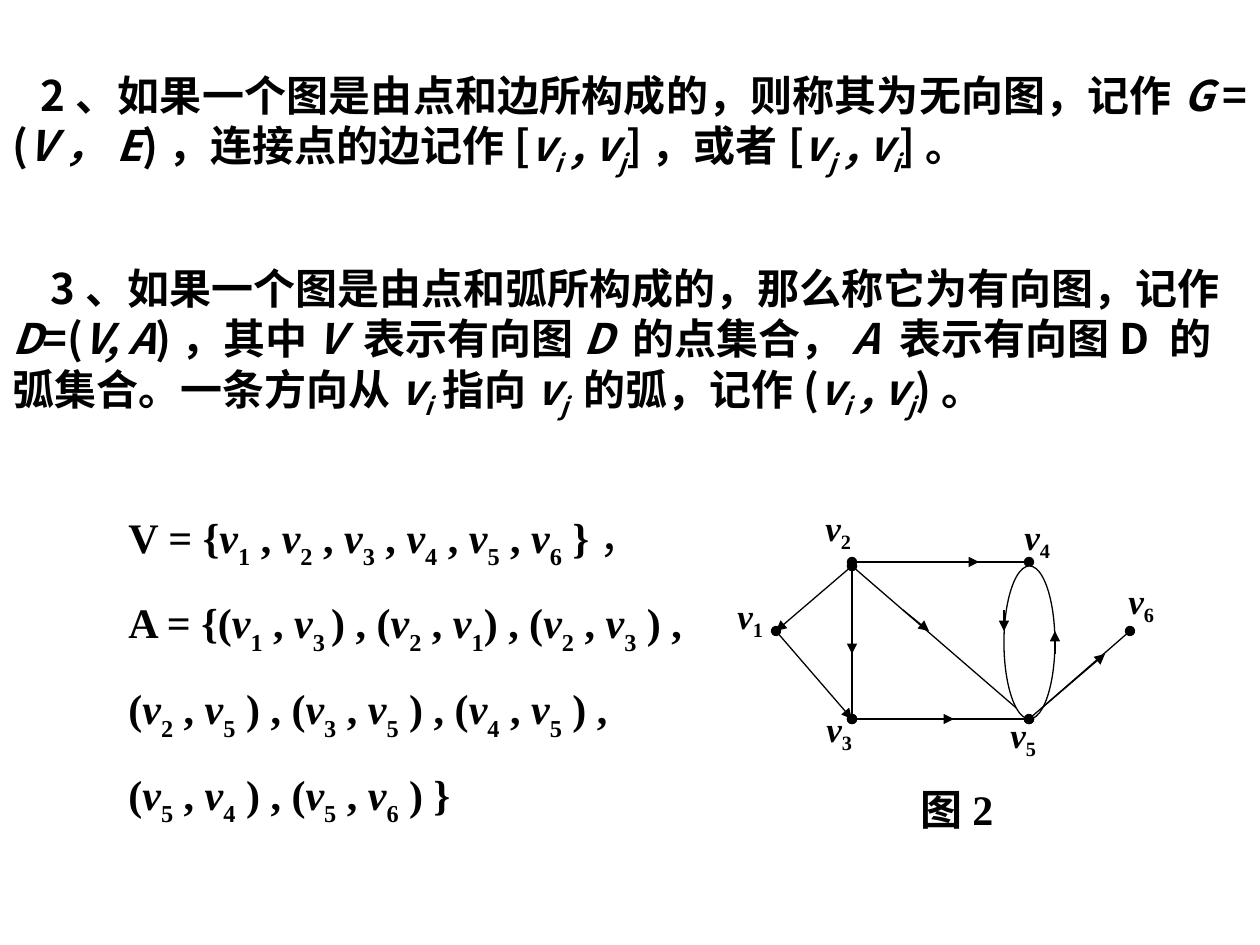
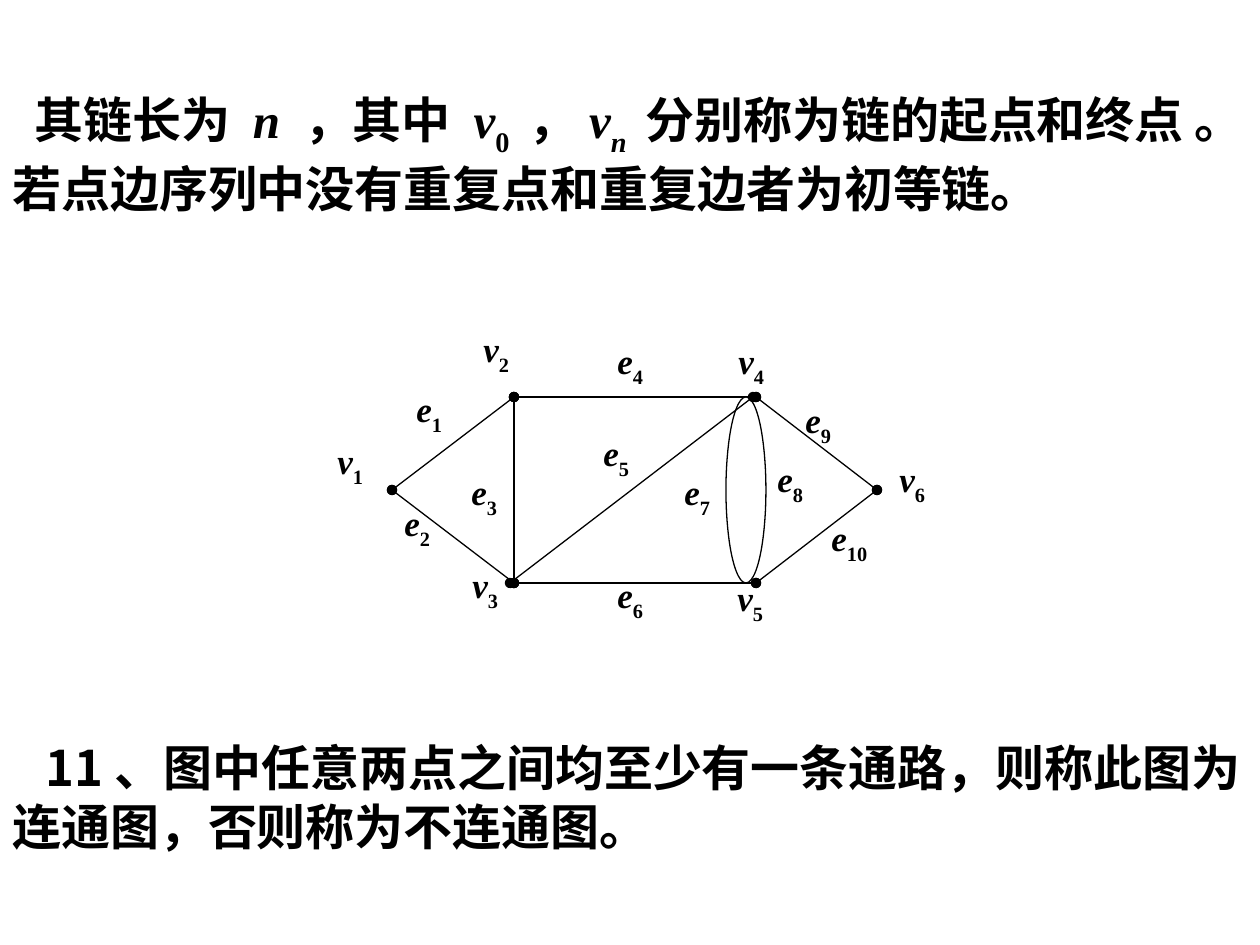
import dataclasses

import lxml.etree
import pptx
import pptx.dml.color
import pptx.enum.shapes
import pptx.enum.text
import pptx.oxml.ns
import pptx.util

PX = 914400 / 126
MARKS = {"*": "italic", "_": "lowered", "^": "math", "!": "regular"}


@dataclasses.dataclass(frozen=True)
class Theme:
    ink: pptx.dml.color.RGBColor = pptx.dml.color.RGBColor(0, 0, 0)
    paper: pptx.dml.color.RGBColor = pptx.dml.color.RGBColor(255, 255, 255)
    body_font: str = "Noto Sans CJK SC"
    math_font: str = "Times New Roman"
    label_size: int = 20
    body_size: int = 24
    large_size: int = 28
    line_width: float = 0.75


THEME = Theme()


def px(length):
    return pptx.util.Emu(round(length * PX))


def add_element(parent, tag, **attributes):
    return lxml.etree.SubElement(parent, pptx.oxml.ns.qn(tag), **attributes)


def split_marks(markup):
    active, words = set(), ""
    for letter in markup:
        if letter in MARKS:
            if words:
                yield words, frozenset(active)
            active ^= {MARKS[letter]}
            words = ""
        else:
            words += letter
    if words:
        yield words, frozenset(active)


def fill_paragraph(para, markup, size, font, drop):
    for words, styles in split_marks(markup):
        span = para.add_run()
        span.text = words
        span.font.size = pptx.util.Pt(size)
        span.font.bold = "regular" not in styles
        span.font.italic = "italic" in styles
        span.font.color.rgb = THEME.ink
        span.font.name = THEME.math_font if "math" in styles else font
        properties = span.font._element if hasattr(span.font, "_element") else span._r.get_or_add_rPr()
        add_element(properties, "a:ea", typeface=THEME.body_font)
        if "lowered" in styles:
            properties.set("baseline", str(-drop * 1000))


def add_text(page, frame, lines, size, font=THEME.body_font, drop=30, indent=0,
             gap=0, justify=False, wrap=True, grow=True):
    box = page.shapes.add_textbox(*map(px, frame))
    text_frame = box.text_frame
    text_frame.word_wrap = wrap
    if grow:
        text_frame.auto_size = pptx.enum.text.MSO_AUTO_SIZE.SHAPE_TO_FIT_TEXT
    for number, markup in enumerate(lines):
        para = text_frame.add_paragraph() if number else text_frame.paragraphs[0]
        if indent:
            properties = para._p.get_or_add_pPr()
            properties.set("marL", "0")
            properties.set("indent", str(px(indent)))
        if number and gap:
            para.space_before = pptx.util.Pt(gap)
        if justify:
            para.alignment = pptx.enum.text.PP_ALIGN.JUSTIFY
        fill_paragraph(para, markup, size, font, drop)


def add_label(page, name, frame, drop=30):
    add_text(page, frame, [f"*{name[0]}*_{name[1:]}_"], THEME.label_size,
             THEME.math_font, drop, grow=False)


def add_edge(page, start, end, head="oval", tail="oval"):
    edge = page.shapes.add_connector(
        pptx.enum.shapes.MSO_CONNECTOR.STRAIGHT, *map(px, start + end))
    edge.line.color.rgb = THEME.ink
    edge.line.width = pptx.util.Pt(THEME.line_width)
    outline = edge.get_or_add_ln()
    for tag, kind in (("a:headEnd", head), ("a:tailEnd", tail)):
        if kind:
            add_element(outline, tag, type=kind)
    add_element(edge._element.spPr, "a:effectLst")


def add_arrow(page, start, end):
    add_edge(page, start, end, head=None, tail="triangle")


def add_loop(page, frame):
    loop = page.shapes.add_shape(pptx.enum.shapes.MSO_SHAPE.OVAL, *map(px, frame))
    loop.shadow.inherit = False
    loop.fill.solid()
    loop.fill.fore_color.rgb = THEME.paper
    loop.line.color.rgb = THEME.ink
    loop.line.width = pptx.util.Pt(THEME.line_width)


def draw_directed_graph(page):
    v1, v2, v3 = (776, 631), (852, 566), (852, 719)
    v4, v5, v6 = (1029, 562), (1029, 719), (1130, 631)
    v2_top = (852, 562)
    for start, end in (
        ((902, 719), (954, 719)),
        ((852, 610), (852, 654)),
        ((929, 562), (979, 562)),
        (v5, (1105, 654)),
        (v2, v1),
    ):
        add_arrow(page, start, end)
    for start, end in ((v2, v5), (v2, v3), (v2_top, v4), (v3, v5)):
        add_edge(page, start, end)
    add_edge(page, v1, v3, tail="triangle")
    add_loop(page, (1004, 566, 51, 153))
    add_edge(page, v5, v6)
    for start, end in (
        ((1004, 610), (1004, 631)),
        ((1055, 654), (1055, 631)),
        ((903, 610), (929, 631)),
    ):
        add_arrow(page, start, end)
    for name, *frame in (
        ("v1", 725, 588, 101, 87),
        ("v2", 813, 500, 101, 87),
        ("v3", 814, 701, 126, 66),
        ("v4", 1012, 509, 101, 66),
        ("v5", 998, 707, 76, 66),
        ("v6", 1116, 573, 101, 66),
    ):
        add_label(page, name, frame, drop=25)


def draw_undirected_graph(page):
    v1, v2, v3 = (392, 490), (514, 397), (514, 583)
    v4, v5, v6 = (756, 397), (756, 583), (877, 490)
    for start, end in ((v2, v4), (v3, v5), (v2, v3), (v4, v6),
                       (v5, v6), (v2, v1), (v3, v1)):
        add_edge(page, start, end)
    add_loop(page, (726, 397, 40, 186))
    add_edge(page, (753, 397), (510, 583))
    for name, left, top in (
        ("v1", 325, 433), ("v2", 471, 321), ("v3", 460, 557),
        ("v4", 726, 333), ("v5", 725, 570), ("v6", 887, 451),
        ("e1", 404, 381), ("e2", 392, 495), ("e3", 459, 464),
        ("e4", 605, 333), ("e5", 591, 425), ("e6", 605, 567),
        ("e7", 672, 464), ("e8", 765, 451), ("e9", 793, 392),
        ("e10", 819, 510),
    ):
        add_label(page, name, (left, top, 121, 140))


def build_graph_definitions(page):
    add_text(page, (0, 63, 1260, 121), [
        "2、如果一个图是由点和边所构成的，则称其为无向图，记作*G *= (*V，E*)，"
        "连接点的边记作[*v_i_ , v_j_*]，或者[*v_j_ , v_i_*]。"
    ], THEME.body_size, drop=25, indent=28, justify=True)
    add_text(page, (0, 256, 1260, 171), [
        "3、如果一个图是由点和弧所构成的，那么称它为有向图，记作*D*=(*V, A*)，"
        "其中*V *表示有向图*D *的点集合，*A *表示有向图D 的弧集合。"
        "一条方向从*v_i_*指向*v_j _*的弧，记作(*v_i_ , v_j_*)。"
    ], THEME.body_size, drop=25, indent=38)
    draw_directed_graph(page)
    add_text(page, (116, 505, 599, 330), [
        "V = {*v*_1_ , *v*_2_ , *v*_3_ , *v*_4_ , *v*_5_ , *v*_6_ }!，!",
        "A = {(*v*_1_ , *v*_3 _) , (*v*_2_ , *v*_1_) , (*v*_2_ , *v*_3_ ) ,",
        "(*v*_2_ , *v*_5_ ) , (*v*_3_ , *v*_5_ ) , (*v*_4_ , *v*_5_ ) ,",
        "(*v*_5_ , *v*_4_ ) , (*v*_5_ , *v*_6_ ) }",
    ], THEME.body_size, THEME.math_font, gap=15)
    add_text(page, (908, 777, 98, 63), ["图2"], THEME.body_size,
             THEME.math_font, wrap=False)


def build_chain_definitions(page):
    draw_undirected_graph(page)
    add_text(page, (0, 731, 1260, 131), [
        "11、图中任意两点之间均至少有一条通路，则称此图为连通图，否则称为不连通图。"
    ], THEME.large_size, indent=33)
    add_text(page, (0, 83, 1260, 141), [
        "其链长为 ^*n *^，其中 ^*v*_0 _，*v_n _*^"
        "分别称为链的起点和终点 。若点边序列中没有重复点和重复边者为初等链。"
    ], THEME.large_size, indent=22)


def main():
    deck = pptx.Presentation()
    deck.slide_width, deck.slide_height = px(1260), px(945)
    for build in (build_graph_definitions, build_chain_definitions):
        build(deck.slides.add_slide(deck.slide_layouts[6]))
    deck.save("out.pptx")


if __name__ == "__main__":
    main()
